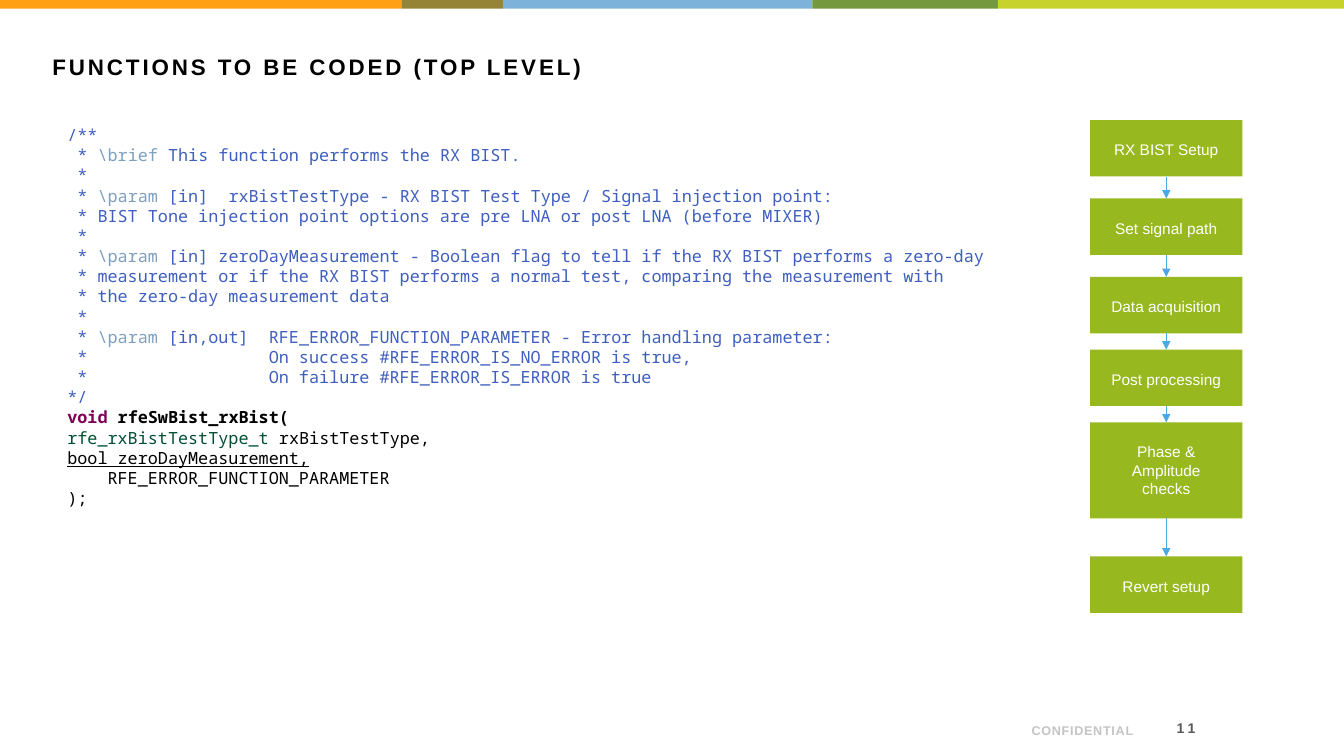
from pptx import Presentation
from pptx.dml.color import RGBColor
from pptx.enum.shapes import MSO_CONNECTOR, MSO_SHAPE
from pptx.enum.text import MSO_ANCHOR, PP_ALIGN
from pptx.oxml.ns import qn
from pptx.util import Pt
from lxml import etree

RECTANGLE = MSO_SHAPE.RECTANGLE
STRAIGHT = MSO_CONNECTOR.STRAIGHT
TOP, MIDDLE, BOTTOM = MSO_ANCHOR.TOP, MSO_ANCHOR.MIDDLE, MSO_ANCHOR.BOTTOM
LEFT, CENTER, RIGHT = PP_ALIGN.LEFT, PP_ALIGN.CENTER, PP_ALIGN.RIGHT
TITLE_ONLY = 5

STRIPES = [(286.6, "FFA015"), (72.7, "958436"), (221, "7DB2DB"),
           (132.5, "73983E"), (247.2, "C7D22D")]

# style: colour, bold, underline
CODE_STYLES = {
    "comment": ("3F5FBF", False, False),
    "tag": ("7F9FBF", False, False),
    "keyword": ("7F0055", True, False),
    "name": ("000000", True, False),
    "type": ("005032", False, False),
    "plain": ("000000", False, False),
    "marked": ("000000", False, True),
}

COMMENT_LINES = [
    ("/**",),
    (" * ", "\\brief", " This function performs the RX BIST."),
    (" *",),
    (" * ", "\\param", " [in]  rxBistTestType - RX BIST Test Type / Signal injection point:"),
    (" * BIST Tone injection point options are pre LNA or post LNA (before MIXER)",),
    (" *",),
    (" * ", "\\param", " [in] zeroDayMeasurement - Boolean flag to tell if the RX BIST performs a zero-day"),
    (" * measurement or if the RX BIST performs a normal test, comparing the measurement with",),
    (" * the zero-day measurement data",),
    (" *",),
    (" * ", "\\param", " [in,out]  RFE_ERROR_FUNCTION_PARAMETER - Error handling parameter:"),
    (" *                  On success #RFE_ERROR_IS_NO_ERROR is true,",),
    (" *                  On failure #RFE_ERROR_IS_ERROR is true",),
    ("*/",),
]

DECLARATION_LINES = [
    [("void ", "keyword"), ("rfeSwBist_rxBist(", "name")],
    [("rfe_rxBistTestType_t ", "type"), ("rxBistTestType,", "plain")],
    [("bool zeroDayMeasurement,", "marked")],
    [("    RFE_ERROR_FUNCTION_PARAMETER", "plain")],
    [(");", "plain")],
]

STEPS = [
    ("RX BIST Setup", 40.3, 15.7),
    ("Set signal path", 40.3, 15.7),
    ("Data acquisition", 40.3, 11.6),
    ("Post processing", 40.3, 11.7),
    ("Phase & Amplitude checks", 68.6, 27.2),
    ("Revert setup", 40.3, 0),
]


def colour(value):
    """Turn a hex string into a colour."""
    return RGBColor.from_string(value)


def format_span(span, size, fill, bold=False, font="Arial", spacing=0):
    """Set the font of one run."""
    span.font.name = font
    span.font.size = Pt(size)
    span.font.bold = bold
    span.font.color.rgb = colour(fill)
    if spacing:
        span.font._element.set("spc", str(round(spacing * 100)))


def set_frame(frame, anchor, horizontal=7.2, vertical=3.6):
    """Set wrapping, anchor and insets of a text frame."""
    frame.word_wrap = True
    frame.vertical_anchor = anchor
    frame.margin_left = frame.margin_right = Pt(horizontal)
    frame.margin_top = frame.margin_bottom = Pt(vertical)


def add_block(page, left, top, width, height, fill):
    """Add a plain filled rectangle."""
    block = page.shapes.add_shape(RECTANGLE, Pt(left), Pt(top), Pt(width), Pt(height))
    block.shadow.inherit = False
    block.fill.solid()
    block.fill.fore_color.rgb = colour(fill)
    block.line.fill.background()
    return block


def add_stripes(page, left, top, height):
    """Lay the coloured stripes side by side."""
    for width, fill in STRIPES:
        add_block(page, left, top, width, height, fill)
        left += width


def add_title(page, left, top, width, height):
    """Place and format the slide title."""
    title = page.shapes.title
    title.left, title.top, title.width, title.height = Pt(left), Pt(top), Pt(width), Pt(height)
    frame = title.text_frame
    frame.text = "FUNCTIONS TO BE CODED (TOP LEVEL)"
    set_frame(frame, TOP)
    para = frame.paragraphs[0]
    para.alignment = LEFT
    format_span(para.runs[0], 16, "000000", True, spacing=2.1)


def add_footer_text(page, left, top, width, height, text, size, fill, spacing, anchor):
    """Add one right-aligned footer text."""
    box = page.shapes.add_textbox(Pt(left), Pt(top), Pt(width), Pt(height))
    frame = box.text_frame
    frame.text = text
    set_frame(frame, anchor, 5 if anchor == MIDDLE else 7.2, 3)
    para = frame.paragraphs[0]
    para.alignment = RIGHT
    format_span(para.runs[0], size, fill, True, spacing=spacing)


def add_footer(page, left, top):
    """Add the confidentiality mark and the page number."""
    add_footer_text(page, left, top, 203.8, 24.5, "CONFIDENTIAL", 9, "C4C4C4", 0.5, BOTTOM)
    add_footer_text(page, left + 199.4, top + 3.6, 46.8, 21.6, "11", 10, "595959", 3, MIDDLE)


def add_code(page, left, top, width, height):
    """Write the commented function declaration."""
    frame = page.shapes.add_textbox(Pt(left), Pt(top), Pt(width), Pt(height)).text_frame
    set_frame(frame, TOP)
    lines = [[(text, "tag" if text.startswith("\\") else "comment") for text in line]
             for line in COMMENT_LINES] + DECLARATION_LINES
    for index, line in enumerate(lines):
        para = frame.add_paragraph() if index else frame.paragraphs[0]
        for text, style in line:
            fill, bold, underline = CODE_STYLES[style]
            span = para.add_run()
            span.text = text
            format_span(span, 12, fill, bold, "Noto Sans Mono")
            span.font.underline = underline


def add_step(page, left, top, width, height, label):
    """Add one labelled step of the flow."""
    step = add_block(page, left, top, width, height, "97B81E")
    frame = step.text_frame
    frame.text = label
    set_frame(frame, TOP, 14.4, 14.4)
    para = frame.paragraphs[0]
    para.alignment = CENTER
    para.space_before = Pt(6)
    format_span(para.runs[0], 11, "FFFFFF")
    return step


def join_steps(page, upper, lower):
    """Draw an arrow from one step down to the next."""
    arrow = page.shapes.add_connector(STRAIGHT, 0, 0, 0, 0)
    arrow.begin_connect(upper, 2)
    arrow.end_connect(lower, 0)
    arrow.line.color.rgb = colour("4AA8E2")
    arrow.line.width = Pt(0.75)
    etree.SubElement(arrow.line._get_or_add_ln(), qn("a:tailEnd"), type="triangle")
    etree.SubElement(arrow._element.spPr, qn("a:effectLst"))


def add_flow(page, left, top, width):
    """Stack the steps and join each to the one before."""
    previous = None
    for label, height, gap in STEPS:
        step = add_step(page, left, top, width, height, label)
        if previous is not None:
            join_steps(page, previous, step)
        previous = step
        top += height + gap


def main():
    """Build and save the deck."""
    deck = Presentation()
    deck.slide_width, deck.slide_height = Pt(960), Pt(540)
    page = deck.slides.add_slide(deck.slide_layouts[TITLE_ONLY])
    add_stripes(page, 0, 0, 6.3)
    add_footer(page, 612.7, 505.4)
    add_title(page, 30.2, 34.6, 900, 51.8)
    add_code(page, 41, 85.7, 877.7, 283.7)
    add_flow(page, 778.7, 85.8, 108.7)
    deck.save("out.pptx")


if __name__ == "__main__":
    main()
